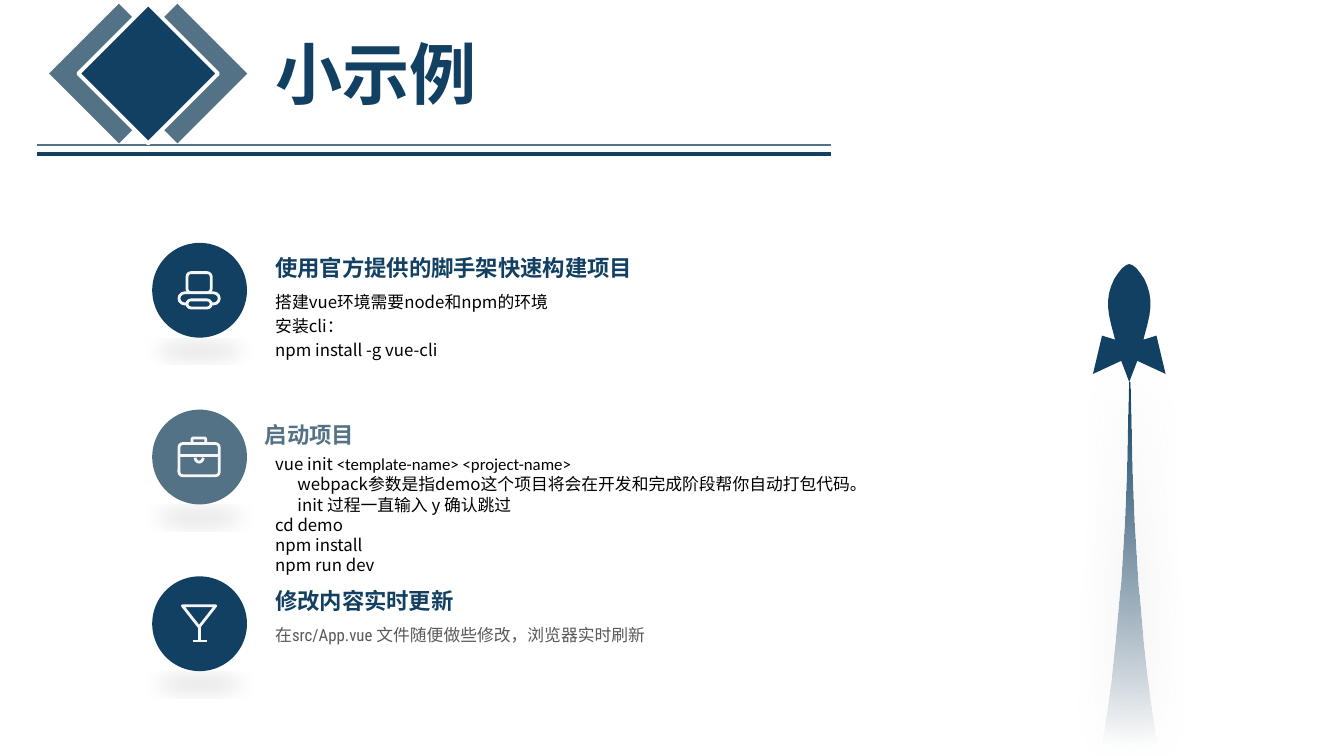
"""Builds a slide with three project steps beside a rising rocket."""
from dataclasses import dataclass
from math import cos, pi, sin

from lxml.etree import SubElement as add_child
from pptx import Presentation
from pptx.dml.color import RGBColor
from pptx.enum.shapes import MSO_CONNECTOR as Connector, MSO_SHAPE as Preset
from pptx.enum.text import MSO_ANCHOR as Anchor, MSO_AUTO_SIZE as AutoSize, PP_ALIGN as Align
from pptx.oxml import parse_xml
from pptx.oxml.ns import nsdecls, qn
from pptx.util import Inches, Pt


@dataclass(frozen=True)
class Theme:
    navy: str = "124062"
    slate: str = "537285"
    icon: str = "F6F6F6"
    white: str = "FFFFFF"
    black: str = "000000"
    grey: str = "595959"
    title_size: int = 48
    heading_size: int = 16
    body_size: int = 12
    title_font: str = "Montserrat"
    heading_font: str = "Roboto Condensed"
    body_font: str = "Noto Sans CJK SC"
    code_font: str = "Calibri"
    icon_line: float = 2
    cell: float = 0.1


class SlideBuilder:
    def __init__(self, page, theme):
        self.page, self.theme = page, theme

    def grid(self, *cells):
        return [Inches(cell * self.theme.cell) for cell in cells]

    def paint(self, shape, fill=None, line=None, width=1):
        shape.shadow.inherit = False
        if fill:
            shape.fill.solid()
            shape.fill.fore_color.rgb = RGBColor.from_string(fill)
        else:
            shape.fill.background()
        if line:
            shape.line.color.rgb = RGBColor.from_string(line)
            shape.line.width = Pt(width)
        else:
            shape.line.fill.background()
        return shape

    def shape(self, preset, box, fill=None, line=None, width=1, round_by=None, turn=0):
        shape = self.page.shapes.add_shape(preset, *self.grid(*box))
        if round_by is not None:
            shape.adjustments[0] = round_by
        shape.rotation = turn
        return self.paint(shape, fill, line, width)

    def line(self, start, end, color, width):
        line = self.page.shapes.add_connector(Connector.STRAIGHT, *self.grid(*start, *end))
        line.line.color.rgb = RGBColor.from_string(color)
        line.line.width = Pt(width)
        add_child(line._element.spPr, qn("a:effectLst"))

    def outline(self, points, fill=None, line=None, width=1, close=True):
        corners = [self.grid(*point) for point in points]
        builder = self.page.shapes.build_freeform(*corners[0], scale=1.0)
        builder.add_line_segments(corners[1:], close=close)
        return self.paint(builder.convert_to_shape(), fill, line, width)

    def mirrored(self, axis, half, fill):
        right = [(axis + x, y) for x, y in half]
        left = [(axis - x, y) for x, y in reversed(half)]
        return self.outline(right + left, fill)

    def shadow(self, shape, color, opacity, blur, distance, angle, scale=""):
        effects = shape._element.spPr.find(qn("a:effectLst"))
        effects.append(parse_xml(
            f'<a:outerShdw {nsdecls("a")} blurRad="{Pt(blur)}" dist="{Pt(distance)}" '
            f'dir="{angle * 60000}" {scale} rotWithShape="0"><a:srgbClr val="{color}">'
            f'<a:alpha val="{opacity * 1000}"/></a:srgbClr></a:outerShdw>'))

    def fade(self, shape, color):
        shape.fill.gradient()
        gradient = shape._element.spPr.find(qn("a:gradFill"))
        gradient.getparent().replace(gradient, parse_xml(
            f'<a:gradFill {nsdecls("a")} rotWithShape="1"><a:gsLst><a:gs pos="0">'
            f'<a:srgbClr val="{color}"><a:alpha val="0"/></a:srgbClr></a:gs>'
            f'<a:gs pos="100000"><a:srgbClr val="{color}"/></a:gs></a:gsLst>'
            f'<a:lin ang="{270 * 60000}" scaled="0"/></a:gradFill>'))

    def style(self, span, size, font, color, bold=False):
        span.font.size, span.font.name, span.font.bold = Pt(size), font, bold
        span.font.color.rgb = RGBColor.from_string(color)
        add_child(span._r.rPr, qn("a:ea")).set("typeface", self.theme.body_font)

    def text(self, box, lines, size, font, color, bold=False, holder=None,
             wrap=True, spacing=1.0):
        holder = holder or self.page.shapes.add_textbox(0, 0, 0, 0)
        holder.left, holder.top, holder.width, holder.height = self.grid(*box)
        frame = holder.text_frame
        frame.text = "\n".join(lines)
        frame.word_wrap, frame.auto_size = wrap, AutoSize.SHAPE_TO_FIT_TEXT
        frame.vertical_anchor = Anchor.TOP
        for para in frame.paragraphs:
            para.alignment, para.line_spacing = Align.LEFT, spacing
            para.space_before = para.space_after = Pt(0)
            properties = para._p.get_or_add_pPr()
            properties.set("marL", "0")
            properties.set("indent", "0")
            add_child(properties, qn("a:buNone"))
            for span in para.runs:
                self.style(span, size, font, color, bold)
        return frame

    def icon_box(self, box, round_by, fill=None):
        self.shape(Preset.ROUNDED_RECTANGLE, box, fill, self.theme.icon,
                   self.theme.icon_line, round_by)

    def hat_icon(self):
        self.icon_box((18.55, 27.05, 2.4, 2.0), 0.2)
        self.icon_box((17.75, 29.05, 4.0, 1.1), 0.5, self.theme.navy)
        self.icon_box((18.55, 29.75, 2.4, 0.8), 0.5, self.theme.navy)

    def briefcase_icon(self):
        look = self.theme.icon, self.theme.icon_line
        self.icon_box((19.05, 43.45, 1.35, 0.55), 0.25)
        self.icon_box((17.75, 44, 4.0, 3.2), 0.12)
        self.line((17.75, 45.2), (21.75, 45.2), *look)
        clasp = [(19.75 + 0.4 * cos(step * pi / 8), 45.4 + 0.45 * sin(step * pi / 8))
                 for step in range(9)]
        self.outline(clasp, None, *look, close=False)

    def glass_icon(self):
        look = self.theme.icon, self.theme.icon_line
        self.outline([(18.1, 60.1), (21.4, 60.1), (19.75, 62.2)], None, *look)
        self.line((19.75, 62.2), (19.75, 63.6), *look)
        self.line((19.1, 63.6), (20.5, 63.6), *look)


def main():
    theme = Theme()
    deck = Presentation()
    deck.slide_width, deck.slide_height = Inches(13.33), Inches(7.5)
    page = deck.slides.add_slide(deck.slide_layouts[4])
    builder = SlideBuilder(page, theme)

    builder.line((82.4, 14.4), (3.7, 14.4), theme.slate, 1)
    for left, color, border in ((12.7, theme.slate, None), (6.9, theme.slate, None),
                                (9.8, theme.navy, theme.white)):
        builder.shape(Preset.ROUNDED_RECTANGLE, (left, 2.4, 9.8, 9.8), color, border,
                      2.75, round_by=0, turn=45)
    builder.line((82.4, 15.3), (3.7, 15.3), theme.navy, 3)
    builder.text((26.3, 2.7, 22.2, 9.1), ["小示例"], theme.title_size, theme.title_font,
                 theme.navy, True, page.shapes.title, wrap=False)

    steps = [
        ("使用官方提供的脚手架快速构建项目", 26.3, 37.9, theme.navy, builder.hat_icon,
         ["搭建vue环境需要node和npm的环境", "安装cli：", "npm install -g vue-cli"],
         8.3, 1.2, theme.body_font, theme.black),
        ("启动项目", 25.3, 11, theme.slate, builder.briefcase_icon,
         ["vue init <template-name> <project-name>",
          "webpack参数是指demo这个项目将会在开发和完成阶段帮你自动打包代码。",
          "init 过程一直输入 y 确认跳过", "cd demo", "npm install", "npm run dev"],
         13.1, 1.0, theme.body_font, theme.black),
        ("修改内容实时更新", 26.3, 20, theme.navy, builder.glass_icon,
         ["在src/App.vue 文件随便做些修改，浏览器实时刷新"],
         3.4, 1.2, theme.heading_font, theme.grey),
    ]
    frames = []
    for number, (heading, left, width, color, draw_icon, lines, height, spacing,
                 font, ink) in enumerate(steps):
        top = 24.1 + 16.54 * number
        disc = builder.shape(Preset.OVAL, (15.1, top, 9.4, 9.4), color)
        builder.shadow(disc, theme.black, 10, 14, 3, 90, 'sx="90000" sy="-19000" algn="b"')
        draw_icon()
        builder.text((left, top + 0.6, width, 3.7), [heading], theme.heading_size,
                     theme.heading_font, color, True, wrap=False)
        frames.append(builder.text((26.3, top + 3.9, 60.8, height), lines, theme.body_size,
                                   font, ink, holder=page.placeholders[number + 1],
                                   spacing=spacing))
    spare = page.placeholders[4]._element
    spare.getparent().remove(spare)

    command, *notes = frames[1].paragraphs[:3]
    command.runs[0].text = "vue init "
    arguments = command.add_run()
    arguments.text = "<template-name> <project-name>"
    builder.style(arguments, theme.body_size, theme.code_font, theme.black)
    for note in notes:
        note._p.pPr.set("marL", str(Inches(0.22)))

    rocket = [(0, 26.2), (0.3, 26.3), (0.7, 26.6), (1.1, 27.1), (1.5, 27.7), (1.8, 28.4),
              (2.0, 29.1), (2.1, 29.8), (2.1, 30.5), (2.0, 31.3), (1.8, 32.2), (1.4, 33.7),
              (2.7, 33.3), (3.6, 37.1), (0.8, 35.8), (0, 37.9)]
    trail = [(0.05, 37.9), (0.15, 41.7), (0.25, 46.6), (0.45, 51.6), (0.85, 58),
             (1.37, 63.8), (1.93, 68.8), (2.5, 72.8), (2.75, 74.1)]
    builder.mirrored(112, rocket, theme.navy)
    flame = builder.mirrored(112, trail, theme.navy)
    builder.fade(flame, theme.navy)
    builder.shadow(flame, "808080", 40, 33, 2, 45)

    deck.save("out.pptx")


if __name__ == "__main__":
    main()
